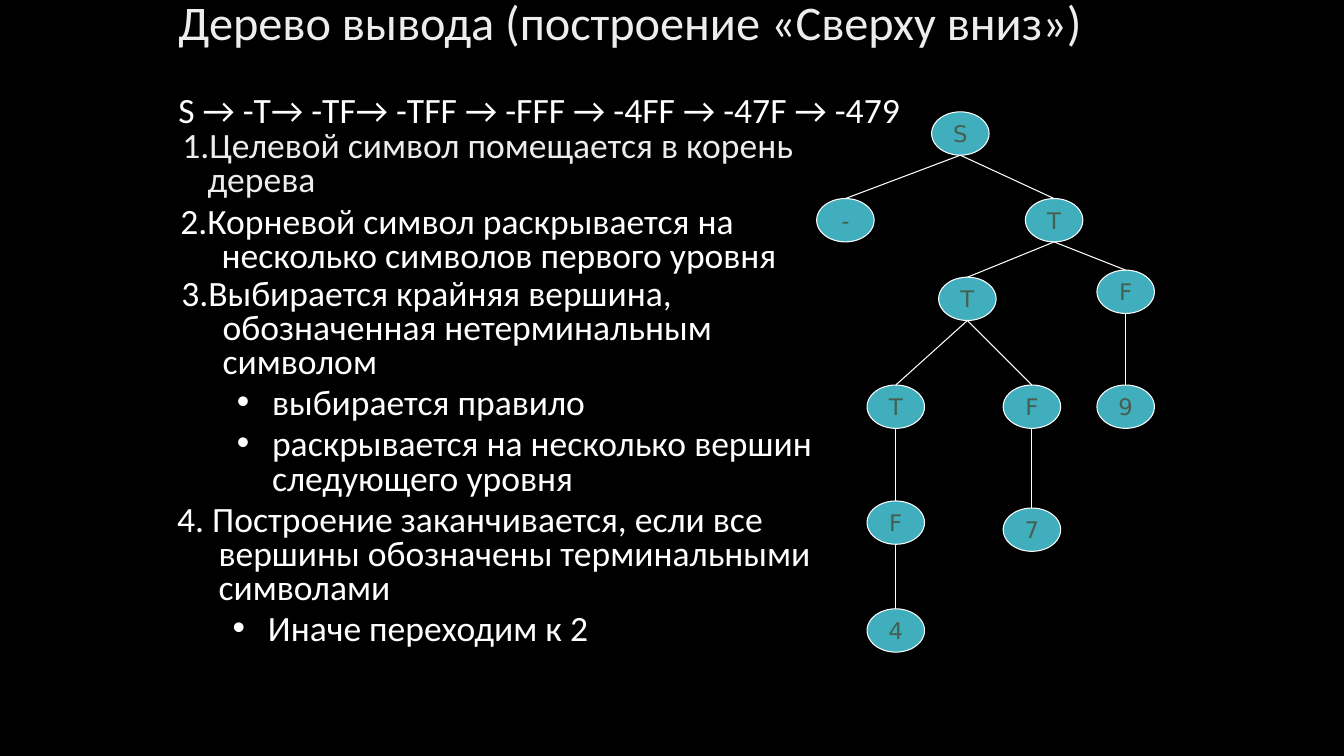
from lxml.etree import SubElement
from pptx import Presentation
from pptx.dml.color import RGBColor
from pptx.enum.shapes import MSO_CONNECTOR, MSO_SHAPE
from pptx.enum.text import MSO_ANCHOR, MSO_AUTO_SIZE, PP_ALIGN
from pptx.oxml.ns import qn
from pptx.util import Inches, Pt

BLACK = RGBColor(0x00, 0x00, 0x00)
WHITE = RGBColor(0xFF, 0xFF, 0xFF)
PALE = RGBColor(0xED, 0xED, 0xED)
TEAL = RGBColor(0x41, 0xAE, 0xBD)
SLATE = RGBColor(0x45, 0x5F, 0x51)

TITLE = "Дерево вывода (построение «Сверху вниз»)"
DERIVATION = "S → -T→ -TF→ -TFF → -FFF → -4FF → -47F → -479"
FIRST_STEP = "1.Целевой символ помещается в корень дерева"
LATER_STEPS = [
    ((1.69, 2.01, 6.57, 0.93),
     "2.Корневой символ раскрывается на несколько символов первого уровня", []),
    ((1.7, 2.72, 6.72, 0.86),
     "3.Выбирается крайняя вершина, обозначенная нетерминальным символом",
     ["выбирается правило", "раскрывается на несколько вершин следующего уровня"]),
    ((1.66, 4.96, 6.64, 1.14),
     "4. Построение заканчивается, если все вершины обозначены терминальными символами",
     ["Иначе переходим к 2"]),
]
NODES = {
    "root": ("S", 9.24, 1.11),
    "minus": ("-", 8.1, 1.97),
    "term": ("T", 10.17, 1.97),
    "right factor": ("F", 10.88, 2.68),
    "nine": ("9", 10.88, 3.82),
    "inner term": ("T", 9.31, 2.75),
    "middle factor": ("F", 9.95, 3.82),
    "seven": ("7", 9.95, 5.04),
    "last term": ("T", 8.6, 3.82),
    "left factor": ("F", 8.6, 4.97),
    "four": ("4", 8.6, 6.04),
}
BRANCHES = [
    ("root", "minus"), ("root", "term"),
    ("term", "inner term"), ("term", "right factor"), ("right factor", "nine"),
    ("inner term", "last term"), ("inner term", "middle factor"),
    ("middle factor", "seven"), ("last term", "left factor"), ("left factor", "four"),
]
NODE_WIDTH, NODE_HEIGHT = 0.57, 0.43
TEXT_SIZE = 25.4


def write(para, text, size, color, font="Calibri"):
    """Add one formatted run to a paragraph."""
    span = para.add_run()
    span.text = text
    span.font.size = Pt(size)
    span.font.name = font
    span.font.color.rgb = color


def place(shape, left, top, width, height):
    """Move and size a placeholder."""
    shape.left, shape.top = Inches(left), Inches(top)
    shape.width, shape.height = Inches(width), Inches(height)
    shape.text_frame.auto_size = MSO_AUTO_SIZE.NONE


def format_step(para, margin, hanging, before, bullet=False):
    """Set the spacing, hanging indent and bullet of a step."""
    para.alignment = PP_ALIGN.LEFT
    para.line_spacing = 0.8
    para.space_before = Pt(before)
    properties = para._p.get_or_add_pPr()
    properties.set("marL", str(Inches(margin)))
    properties.set("indent", str(-Inches(hanging)))
    if bullet:
        para.level = 1
        color = SubElement(properties, qn("a:buClr"))
        SubElement(color, qn("a:srgbClr"), val=str(WHITE))
        SubElement(properties, qn("a:buFont"), typeface="Arial")
        SubElement(properties, qn("a:buChar"), char="•")
    else:
        SubElement(properties, qn("a:buNone"))


def add_steps(page):
    """Add the numbered steps that follow the first one."""
    for bounds, step, details in LATER_STEPS:
        box = page.shapes.add_textbox(*map(Inches, bounds))
        frame = box.text_frame
        frame.word_wrap = True
        format_step(frame.paragraphs[0], 0.41, 0.41, 5)
        write(frame.paragraphs[0], step, TEXT_SIZE, WHITE)
        for detail in details:
            para = frame.add_paragraph()
            format_step(para, 0.9, 0.35, 5, bullet=True)
            write(para, detail, TEXT_SIZE, WHITE)


def add_node(tree, label, left, top):
    """Add one labelled vertex to the tree."""
    node = tree.shapes.add_shape(MSO_SHAPE.OVAL, Inches(left), Inches(top),
                                 Inches(NODE_WIDTH), Inches(NODE_HEIGHT))
    node.shadow.inherit = False
    node.fill.solid()
    node.fill.fore_color.rgb = TEAL
    node.line.color.rgb = WHITE
    node.line.width = Pt(0.75)
    frame = node.text_frame
    frame.word_wrap = False
    frame.vertical_anchor = MSO_ANCHOR.MIDDLE
    frame.paragraphs[0].alignment = PP_ALIGN.CENTER
    write(frame.paragraphs[0], label, 16.3, SLATE, "DejaVu Sans")
    return node


def add_branch(tree, parent, child):
    """Draw a line from the bottom of a parent to the top of its child."""
    branch = tree.shapes.add_connector(
        MSO_CONNECTOR.STRAIGHT,
        parent.left + parent.width // 2, parent.top + parent.height,
        child.left + child.width // 2, child.top)
    branch.end_connect(child, 0)
    branch.line.color.rgb = WHITE
    branch.line.width = Pt(0.75)
    SubElement(branch._element.spPr, qn("a:effectLst"))


def main():
    """Build the slide about top-down derivation trees."""
    deck = Presentation()
    deck.slide_width, deck.slide_height = Inches(13.33), Inches(7.5)
    page = deck.slides.add_slide(deck.slide_layouts[1])
    page.background.fill.solid()
    page.background.fill.fore_color.rgb = BLACK

    title, body = page.placeholders
    place(title, 1.67, -0.25, 10.22, 1)
    title.text_frame.vertical_anchor = MSO_ANCHOR.MIDDLE
    heading = title.text_frame.paragraphs[0]
    heading.alignment = PP_ALIGN.LEFT
    heading.line_spacing = 0.9
    write(heading, TITLE, 34.5, PALE)

    place(body, 1.71, 1.25, 7.29, 0.79)
    first = body.text_frame.paragraphs[0]
    format_step(first, 0.25, 0.25, 10)
    write(first, FIRST_STEP, TEXT_SIZE, PALE)
    add_steps(page)

    tree = page.shapes.add_group_shape()
    nodes = {name: add_node(tree, *node) for name, node in NODES.items()}
    for parent, child in BRANCHES:
        add_branch(tree, nodes[parent], nodes[child])

    box = page.shapes.add_textbox(Inches(1.67), Inches(0.82), Inches(7.63), Inches(0.53))
    box.text_frame.word_wrap = False
    box.text_frame.auto_size = MSO_AUTO_SIZE.SHAPE_TO_FIT_TEXT
    para = box.text_frame.paragraphs[0]
    para.space_before = Pt(5)
    write(para, DERIVATION, TEXT_SIZE, WHITE)

    deck.save("out.pptx")


if __name__ == "__main__":
    main()
